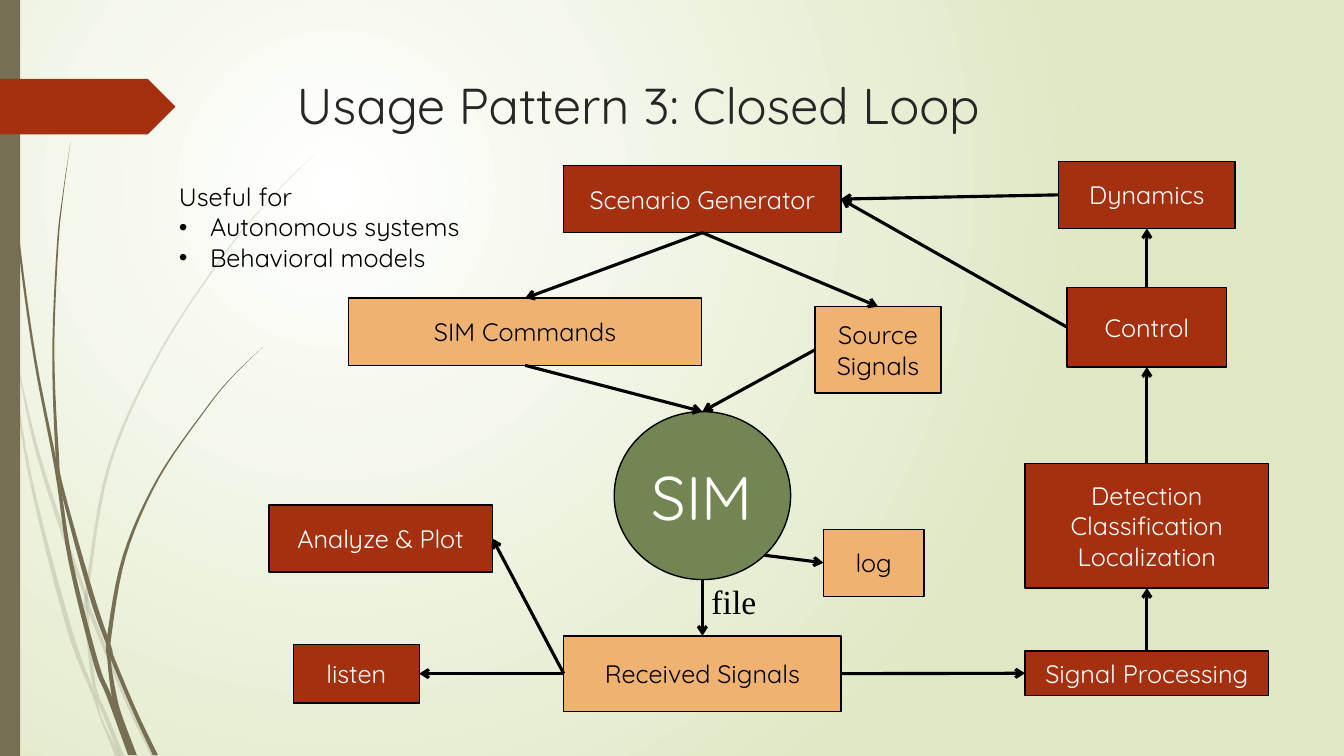
"""Build the closed loop usage slide as a flow diagram on a grid of 160 by 90."""
import lxml.etree
import pptx
import pptx.dml.color
import pptx.enum.shapes
import pptx.enum.text
import pptx.oxml.ns
import pptx.util

RGB = pptx.dml.color.RGBColor
KIND = pptx.enum.shapes.MSO_SHAPE
ANCHOR = pptx.enum.text.MSO_ANCHOR
ALIGN = pptx.enum.text.PP_ALIGN
qn = pptx.oxml.ns.qn

RED = RGB(0xA5, 0x30, 0x10)
SAND = RGB(0xF0, 0xB2, 0x70)
GREEN = RGB(0x72, 0x86, 0x53)
OLIVE = RGB(0x76, 0x6F, 0x54)
PALE = RGB(0xDF, 0xE8, 0xC4)
WHITE = RGB(0xFF, 0xFF, 0xFF)
BLACK = RGB(0x00, 0x00, 0x00)
DARK = RGB(0x26, 0x26, 0x26)

deck = pptx.Presentation()
deck.slide_width = pptx.util.Inches(13.33)
deck.slide_height = pptx.util.Inches(7.5)
slide = deck.slides.add_slide(deck.slide_layouts[5])
shapes = slide.shapes
UNIT = deck.slide_height / 90


def grid(*cells):
    """Turn columns and rows into lengths."""
    return [round(cell * UNIT) for cell in cells]


def write(shape, text, size=18, color=BLACK, font="Quicksand",
          align=ALIGN.LEFT, anchor=ANCHOR.TOP, wrap=False):
    """Fill a shape with text in one format."""
    frame = shape.text_frame
    frame.text = text
    frame.word_wrap = wrap
    frame.vertical_anchor = anchor
    for para in frame.paragraphs:
        para.alignment = align
        for run in para.runs:
            run.font.size = pptx.util.Pt(size)
            run.font.name = font
            run.font.color.rgb = color


fill = slide.background.fill
fill.gradient()
for stop, color in zip(fill.gradient_stops, (WHITE, PALE)):
    stop.color.rgb = color
fill.gradient_stops[0].position = 0
fill.gradient_stops[1].position = 1
blend = slide.element.find(".//" + qn("a:gradFill"))
blend.remove(blend.find(qn("a:lin")))
glow = lxml.etree.SubElement(blend, qn("a:path"), path="circle")
lxml.etree.SubElement(glow, qn("a:fillToRect"),
                      l="50000", t="50000", r="100000", b="100000")

BLADES = [
    (20, [(0, 34.8, .2), (1.2, 41.4, .2), (3.5, 56.3, .35), (8.1, 74.4, .6),
          (11.1, 82.6, .4), (12.1, 85.7, .2), (14, 90, .6)]),
    (20, [(1.7, 41.4, 0), (4.1, 52.5, .4), (7.2, 62.5, .5), (10.3, 71.2, .4),
          (10.8, 73, .5), (15, 83.2, .5), (18.3, 90, .6)]),
    (20, [(37.4, 18.4, 0), (34.7, 21, .1), (32.2, 23.7, .1), (27.4, 29.3, .2),
          (19.1, 41.8, .25), (13, 55.4, .35), (10.4, 70.1, .4), (10.3, 73, .5),
          (10.7, 77.5, .5), (11.3, 82, .4), (12.6, 85.3, .5), (14.5, 90, .6)]),
    (100, [(.4, 0, .1), (.9, 13.2, .15), (2.15, 28, .25), (4.15, 42.6, .3),
           (6.7, 55.8, .4), (8.4, 66.8, .5), (11.4, 78.8, .6), (13, 82.9, .6),
           (15.6, 89.9, .7)]),
    (100, [(8.4, 16.9, 0), (7.5, 23.2, .1), (6.85, 29.4, .2), (6.35, 41.9, .25),
           (6.8, 53.9, .4), (7.4, 58.2, .4), (10.9, 70.9, .6), (13, 77, .5),
           (13.4, 78.4, .5), (16.1, 84.8, .5), (18.5, 89.9, .6)]),
    (100, [(31.3, 41.3, 0), (27.7, 44.8, .1), (24.5, 48.7, .15), (18.8, 57, .25),
           (14.8, 66.2, .4), (13, 75.8, .5), (13, 78.7, .4), (13.6, 82.9, .6),
           (14.3, 85.4, .6), (16.1, 89.9, .4)]),
]
STEPS = 6
for alpha, knots in BLADES:
    ends = [knots[0], *knots, knots[-1]]
    curve = []
    for quad in zip(ends, ends[1:], ends[2:], ends[3:]):
        for step in range(STEPS):
            t = step / STEPS
            curve.append([
                b + t * (c - a + t * (2 * a - 5 * b + 4 * c - d
                                      + t * (3 * b - a - 3 * c + d))) / 2
                for a, b, c, d in zip(*quad)])
    curve.append(knots[-1])
    left = [grid(x - w / 2, y) for x, y, w in curve]
    right = [grid(x + w / 2, y) for x, y, w in curve]
    edge = shapes.build_freeform(*left[0])
    edge.add_line_segments(left[1:] + right[::-1], close=True)
    blade = edge.convert_to_shape()
    blade.shadow.inherit = False
    blade.fill.solid()
    blade.fill.fore_color.rgb = OLIVE
    blade.line.fill.background()
    if alpha < 100:
        tint = blade.element.spPr.find(".//" + qn("a:srgbClr"))
        lxml.etree.SubElement(tint, qn("a:alpha"), val=str(alpha * 1000))

for kind, place, color in [(KIND.RECTANGLE, (0, 0, 2.4, 90), OLIVE),
                           (KIND.PENTAGON, (0, 9.4, 20.9, 6.6), RED)]:
    band = shapes.add_shape(kind, *grid(*place))
    band.shadow.inherit = False
    band.fill.solid()
    band.fill.fore_color.rgb = color
    band.line.fill.background()

title = shapes.title
title.left, title.top, title.width, title.height = grid(34.1, 8.2, 117, 10.3)
write(title, "Usage Pattern 3: Closed Loop", size=36, color=DARK, wrap=True)

BOXES = [
    ("Scenario Generator", RED, (67.1, 19.7, 33, 8)),
    ("Dynamics", RED, (126, 19.2, 21, 8)),
    ("Control", RED, (127, 34.2, 19, 9.5)),
    ("SIM Commands", SAND, (41.5, 35.5, 42, 8)),
    ("Source\nSignals", SAND, (97, 36.5, 15, 10.3)),
    ("SIM", GREEN, (73.1, 49, 21, 20)),
    ("Received Signals", SAND, (67.1, 75.7, 33, 9)),
    ("Analyze & Plot", RED, (32, 60.1, 26.6, 8)),
    ("log", SAND, (98, 63, 12, 8)),
    ("Signal Processing", RED, (122, 77.5, 29, 5.3)),
    ("listen", RED, (34.9, 76.7, 15, 7)),
    ("Detection\nClassification\nLocalization", RED, (122, 55.2, 29, 14.8)),
]
nodes = {}
for text, color, place in BOXES:
    hub = text == "SIM"
    box = shapes.add_shape(KIND.OVAL if hub else KIND.RECTANGLE, *grid(*place))
    box.shadow.inherit = False
    box.fill.solid()
    box.fill.fore_color.rgb = color
    box.line.color.rgb = BLACK
    box.line.width = pptx.util.Pt(1)
    write(box, text, size=44 if hub else 18, align=ALIGN.CENTER,
          anchor=ANCHOR.MIDDLE, color=BLACK if color == SAND else WHITE)
    nodes[text.split("\n")[0]] = box

TOP, LEFT, BOTTOM, RIGHT = range(4)
LINKS = [
    ("Scenario Generator", BOTTOM, "SIM Commands", TOP),
    ("Scenario Generator", BOTTOM, "Source", TOP),
    ("SIM Commands", BOTTOM, "SIM", TOP),
    ("Source", LEFT, "SIM", TOP),
    ((83.6, 69), None, "Received Signals", TOP),
    ((91, 66.1), None, "log", LEFT),
    ("Received Signals", LEFT, "Analyze & Plot", RIGHT),
    ("Received Signals", LEFT, "listen", RIGHT),
    ("Received Signals", RIGHT, "Signal Processing", LEFT),
    ("Signal Processing", TOP, "Detection", BOTTOM),
    ("Detection", TOP, "Control", BOTTOM),
    ("Control", TOP, "Dynamics", BOTTOM),
    ("Control", LEFT, "Scenario Generator", RIGHT),
    ("Dynamics", LEFT, "Scenario Generator", RIGHT),
]
for start, leave, end, enter in LINKS:
    spot = grid(*start) if leave is None else [0, 0]
    link = shapes.add_connector(pptx.enum.shapes.MSO_CONNECTOR.STRAIGHT,
                                *spot, *spot)
    if leave is not None:
        link.begin_connect(nodes[start], leave)
    link.end_connect(nodes[end], enter)
    link.line.color.rgb = BLACK
    link.line.width = pptx.util.Pt(2.25)
    props = link.element.spPr
    lxml.etree.SubElement(props.find(qn("a:ln")), qn("a:tailEnd"), type="arrow")
    lxml.etree.SubElement(props, qn("a:effectLst"))

label = shapes.add_textbox(*grid(83.5, 68.6, 7.8, 6))
write(label, "file", size=24, font="Times New Roman")

uses = shapes.add_textbox(*grid(20.1, 21, 38.5, 12.1))
write(uses, "Useful for\nAutonomous systems\nBehavioral models", wrap=True)
indent = pptx.util.Inches(0.31)
for para in uses.text_frame.paragraphs[1:]:
    props = para._p.get_or_add_pPr()
    props.set("marL", str(indent))
    props.set("indent", str(-indent))
    lxml.etree.SubElement(props, qn("a:buFont"), typeface="Quicksand")
    lxml.etree.SubElement(props, qn("a:buChar"), char="•")

deck.save("out.pptx")
